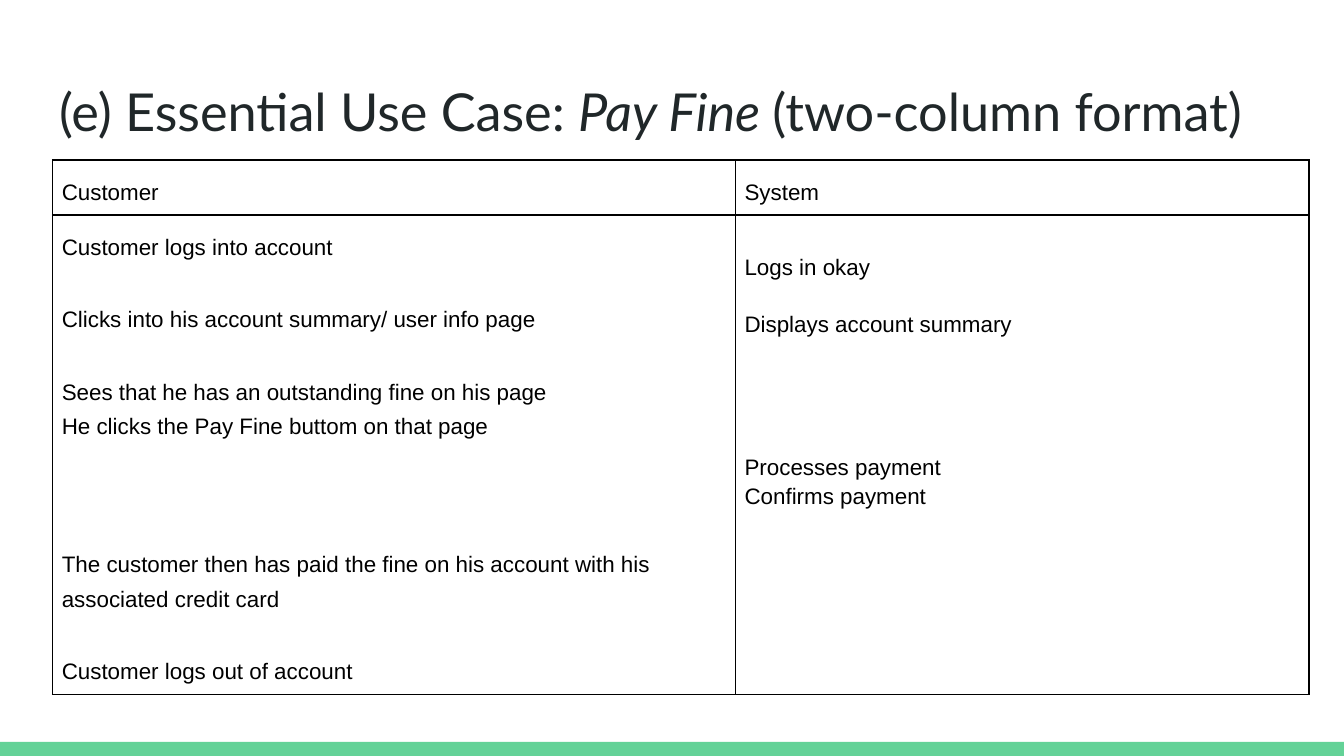
from lxml import etree
from pptx import Presentation
from pptx.dml.color import RGBColor
from pptx.enum.shapes import MSO_SHAPE
from pptx.enum.text import MSO_ANCHOR, PP_ALIGN
from pptx.oxml.ns import qn
from pptx.util import Inches, Pt

RECT = MSO_SHAPE.RECTANGLE
TOP, LEFT = MSO_ANCHOR.TOP, PP_ALIGN.LEFT
TITLE_ONLY = 5
INK, BLACK, GREEN = "202729", "000000", "63D297"

# Title runs: text, italic
TITLE = [
    ("(e) Essential Use Case: ", False),
    ("Pay Fine ", True),
    ("(two-column format)", False),
]
COLUMNS = [5.08, 4.27]
ROWS = [0.41, 3.57]
PAD = 0.07
# Each cell: top margin, then paragraphs of text, line spacing, space before
CELLS = [
    [
        (PAD, [("Customer", 1.44, 0)]),
        (PAD, [("System", 1.44, 0)]),
    ],
    [
        (PAD, [
            ("Customer logs into account", 1.44, 0),
            ("Clicks into his account summary/ user info page", 1.44, 19.3),
            ("Sees that he has an outstanding fine on his page", 1.44, 19.3),
            ("He clicks the Pay Fine buttom on that page", 1.38, 0),
            ("The customer then has paid the fine on his account with his "
             "associated credit card", 1.38, 55.4),
            ("Customer logs out of account", 1.44, 19.3),
        ]),
        (0.27, [
            ("Logs in okay", 1.15, 0),
            ("Displays account summary", 1.15, 15),
            ("Processes payment", 1.15, 61.5),
            ("Confirms payment", 1.15, 0),
        ]),
    ],
]


def rgb(color):
    """Turn a hex string into a colour."""
    return RGBColor.from_string(color)


def add_run(p, text, font, size, color, italic=False):
    """Add one formatted run to a paragraph."""
    r = p.add_run()
    r.text = text
    r.font.name, r.font.size, r.font.italic = font, Pt(size), italic
    r.font.color.rgb = rgb(color)


def set_borders(cell, color, width):
    """Draw a solid line on all four sides of a cell."""
    tc_pr = cell._tc.get_or_add_tcPr()
    for i, side in enumerate(("a:lnL", "a:lnR", "a:lnT", "a:lnB")):
        ln = etree.Element(qn(side), w=str(Pt(width)))
        fill = etree.SubElement(ln, qn("a:solidFill"))
        etree.SubElement(fill, qn("a:srgbClr"), val=color)
        tc_pr.insert(i, ln)


def fill_cell(cell, top, paragraphs):
    """Write the paragraphs of a cell and set its margins and borders."""
    cell.fill.background()
    set_borders(cell, BLACK, 0.75)
    cell.margin_left = cell.margin_right = cell.margin_bottom = Inches(PAD)
    cell.margin_top = Inches(top)
    cell.vertical_anchor = TOP
    tf = cell.text_frame
    for i, (text, spacing, before) in enumerate(paragraphs):
        p = tf.add_paragraph() if i else tf.paragraphs[0]
        p.line_spacing, p.space_before = spacing, Pt(before)
        add_run(p, text, "Arial", 12, BLACK)


prs = Presentation()
prs.slide_width = Inches(10)
prs.slide_height = Inches(10) * 9 // 16
s = prs.slides.add_slide(prs.slide_layouts[TITLE_ONLY])

bar = s.shapes.add_shape(RECT, 0, Inches(5.52), Inches(10), Inches(0.11))
bar.shadow.inherit = False
bar.fill.solid()
bar.fill.fore_color.rgb = rgb(GREEN)
bar.line.fill.background()

title = s.shapes.title
title.left, title.top = Inches(0.34), Inches(0.49)
title.width, title.height = Inches(9.32), Inches(0.63)
tf = title.text_frame
tf.margin_left = tf.margin_right = tf.margin_top = tf.margin_bottom = Inches(0.1)
tf.vertical_anchor, tf.word_wrap = TOP, True
p = tf.paragraphs[0]
p.alignment = LEFT
for text, italic in TITLE:
    add_run(p, text, "Lato", 28, INK, italic)

table = s.shapes.add_table(
    len(ROWS), len(COLUMNS), Inches(0.39), Inches(1.19),
    Inches(sum(COLUMNS)), Inches(sum(ROWS))).table
table.first_row = table.horz_banding = False
for column, width in zip(table.columns, COLUMNS):
    column.width = Inches(width)
for row, height, contents in zip(table.rows, ROWS, CELLS):
    row.height = Inches(height)
    for cell, (top, paragraphs) in zip(row.cells, contents):
        fill_cell(cell, top, paragraphs)

prs.save("out.pptx")
